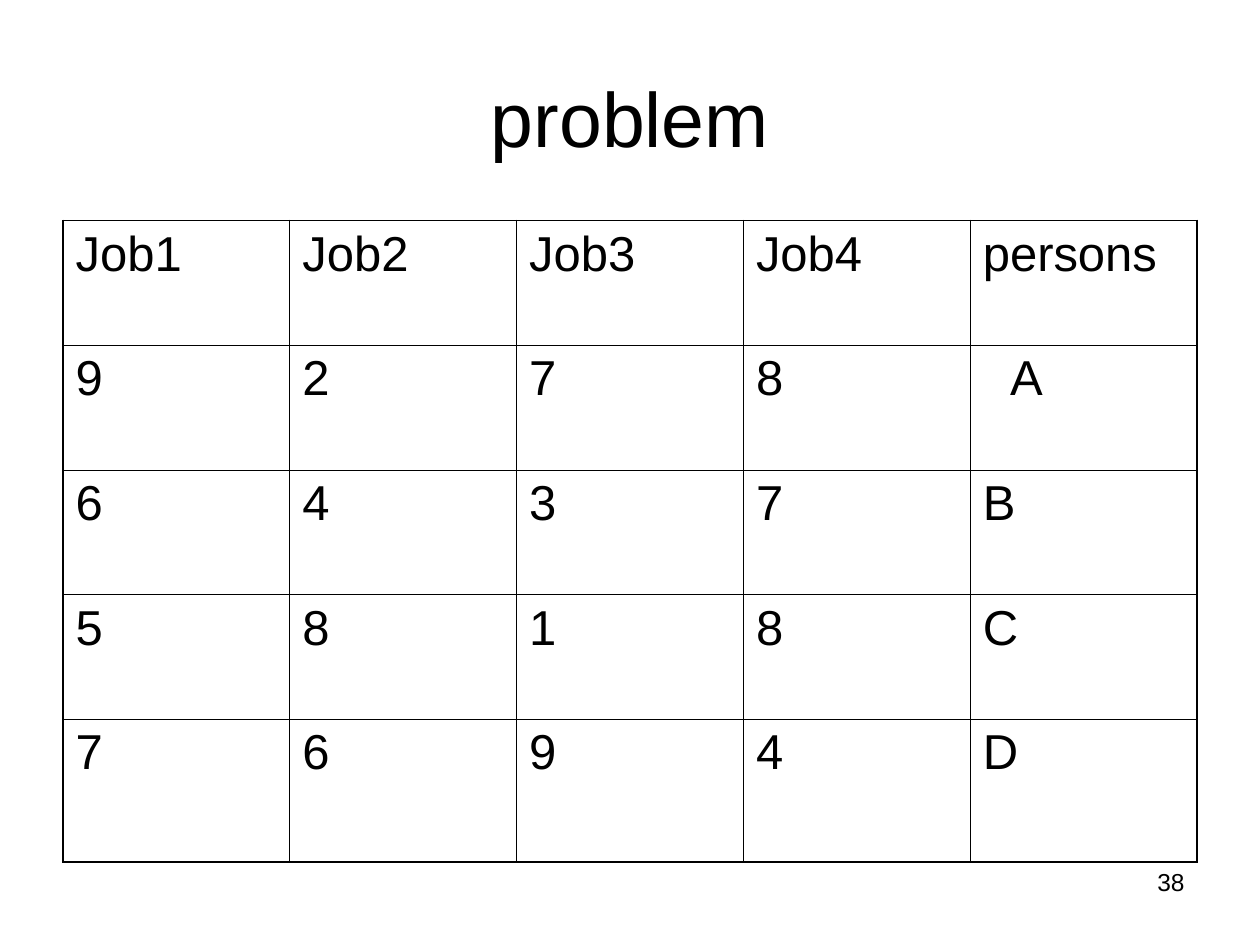
"""Build the job assignment problem slide."""
from dataclasses import dataclass

from lxml import etree
from pptx import Presentation
from pptx import util as u
from pptx.dml import color
from pptx.enum import text
from pptx.oxml import ns


@dataclass(frozen=True)
class Theme:
    """Colours, type sizes and line widths of the slide."""
    ink: str = "000000"
    paper: str = "FFFFFF"
    font: str = "Arial"
    title: float = 44
    body: float = 28
    number: float = 14
    outer: float = 1.08
    inner: float = 0.45


THEME = Theme()
INSETS = {"margin_left": u.Pt(7.2), "margin_right": u.Pt(7.2),
          "margin_top": u.Pt(3.6), "margin_bottom": u.Pt(3.6)}
PLAIN_TABLE = {"first_row": False, "horz_banding": False}
COSTS = [
    ["Job1", "Job2", "Job3", "Job4", "persons"],
    ["9", "2", "7", "8", "A"],
    ["6", "4", "3", "7", "B"],
    ["5", "8", "1", "8", "C"],
    ["7", "6", "9", "4", "D"],
]
ROW_HEIGHTS = [71.28] * 4 + [81.36]
COLUMN_WIDTH = 129.6
INDENTS = {"A": 15.6}


def apply(target, values):
    """Set each named attribute of the target."""
    for name, value in values.items():
        setattr(target, name, value)


def write(frame, words, size, align, indent=0):
    """Write one styled paragraph into a text frame."""
    para = frame.paragraphs[0]
    apply(para, {"alignment": align, "space_before": u.Pt(0)})
    if indent:
        para._p.get_or_add_pPr().set("marL", str(u.Pt(indent)))
    span = para.add_run()
    span.text = words
    apply(span.font, {"name": THEME.font, "size": u.Pt(size), "bold": False})
    span.font.color.rgb = color.RGBColor.from_string(THEME.ink)


def add_label(page, bounds, words, size, align, anchor):
    """Add a wrapped text box."""
    box = page.shapes.add_textbox(*map(u.Pt, bounds))
    apply(box.text_frame,
          {**INSETS, "word_wrap": True, "vertical_anchor": anchor})
    write(box.text_frame, words, size, align)


def set_borders(cell, widths):
    """Draw the cell's sides, given in left, right, top, bottom order."""
    properties = cell._tc.get_or_add_tcPr()
    for place, (side, width) in enumerate(zip("LRTB", widths)):
        line = etree.Element(ns.qn(f"a:ln{side}"), w=str(u.Pt(width)))
        fill = etree.SubElement(line, ns.qn("a:solidFill"))
        etree.SubElement(fill, ns.qn("a:srgbClr"), val=THEME.ink)
        properties.insert(place, line)


def add_cost_table(page, left, top):
    """Add the cost grid with a heavier outer frame."""
    rows, columns = len(COSTS), len(COSTS[0])
    table = page.shapes.add_table(
        rows, columns, u.Pt(left), u.Pt(top),
        u.Pt(COLUMN_WIDTH * columns), u.Pt(sum(ROW_HEIGHTS))).table
    apply(table, PLAIN_TABLE)
    for column in table.columns:
        column.width = u.Pt(COLUMN_WIDTH)
    for r, (height, costs) in enumerate(zip(ROW_HEIGHTS, COSTS)):
        table.rows[r].height = u.Pt(height)
        for c, words in enumerate(costs):
            cell = table.cell(r, c)
            apply(cell, INSETS)
            cell.fill.background()
            edges = (c == 0, c == columns - 1, r == 0, r == rows - 1)
            set_borders(cell, [THEME.outer if edge else THEME.inner
                               for edge in edges])
            write(cell.text_frame, words, THEME.body, text.PP_ALIGN.LEFT,
                  INDENTS.get(words, 0))


def main():
    """Build and save the slide."""
    deck = Presentation()
    apply(deck, {"slide_width": u.Pt(720), "slide_height": u.Pt(540)})
    page = deck.slides.add_slide(deck.slide_layouts[6])
    page.background.fill.solid()
    page.background.fill.fore_color.rgb = color.RGBColor.from_string(THEME.paper)
    add_label(page, (36, 21.6, 648, 90), "problem", THEME.title,
              text.PP_ALIGN.CENTER, text.MSO_ANCHOR.MIDDLE)
    add_cost_table(page, 36, 126)
    add_label(page, (516, 492, 168, 37.5), "38", THEME.number,
              text.PP_ALIGN.RIGHT, text.MSO_ANCHOR.TOP)
    deck.save("out.pptx")


if __name__ == "__main__":
    main()
